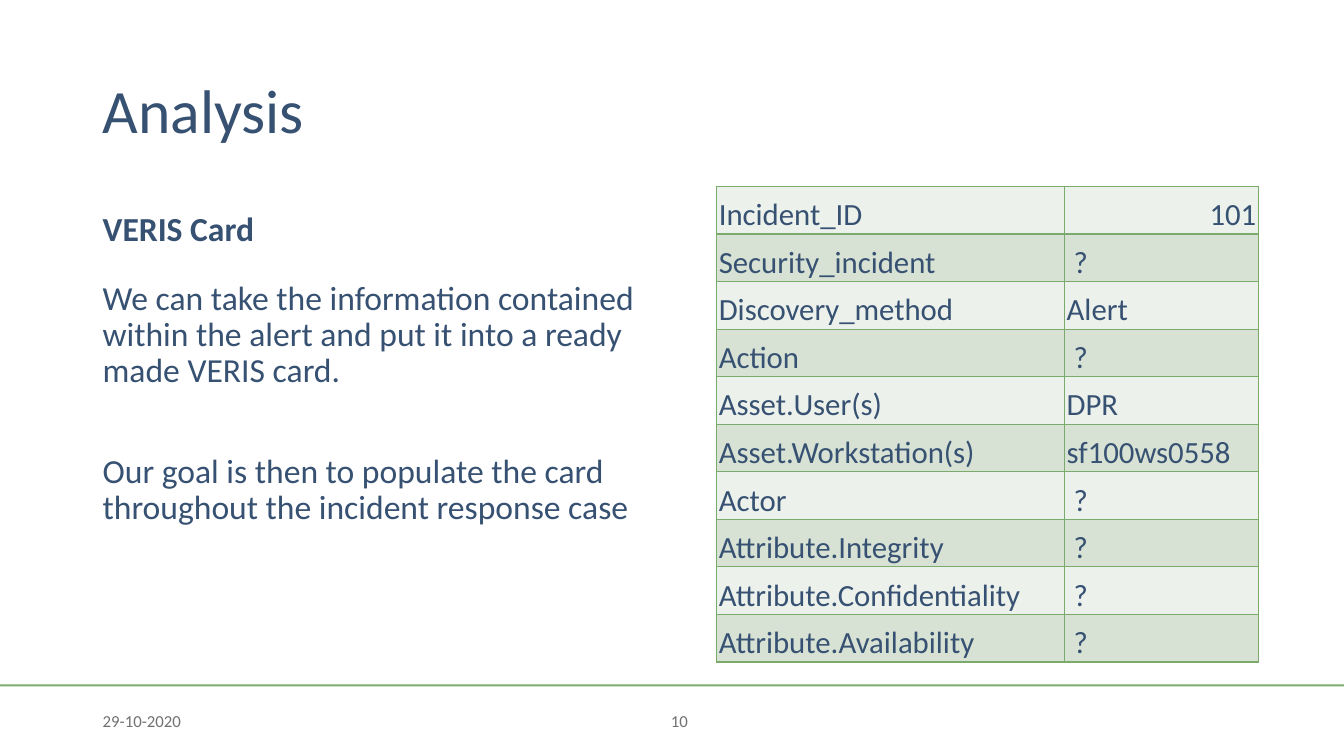
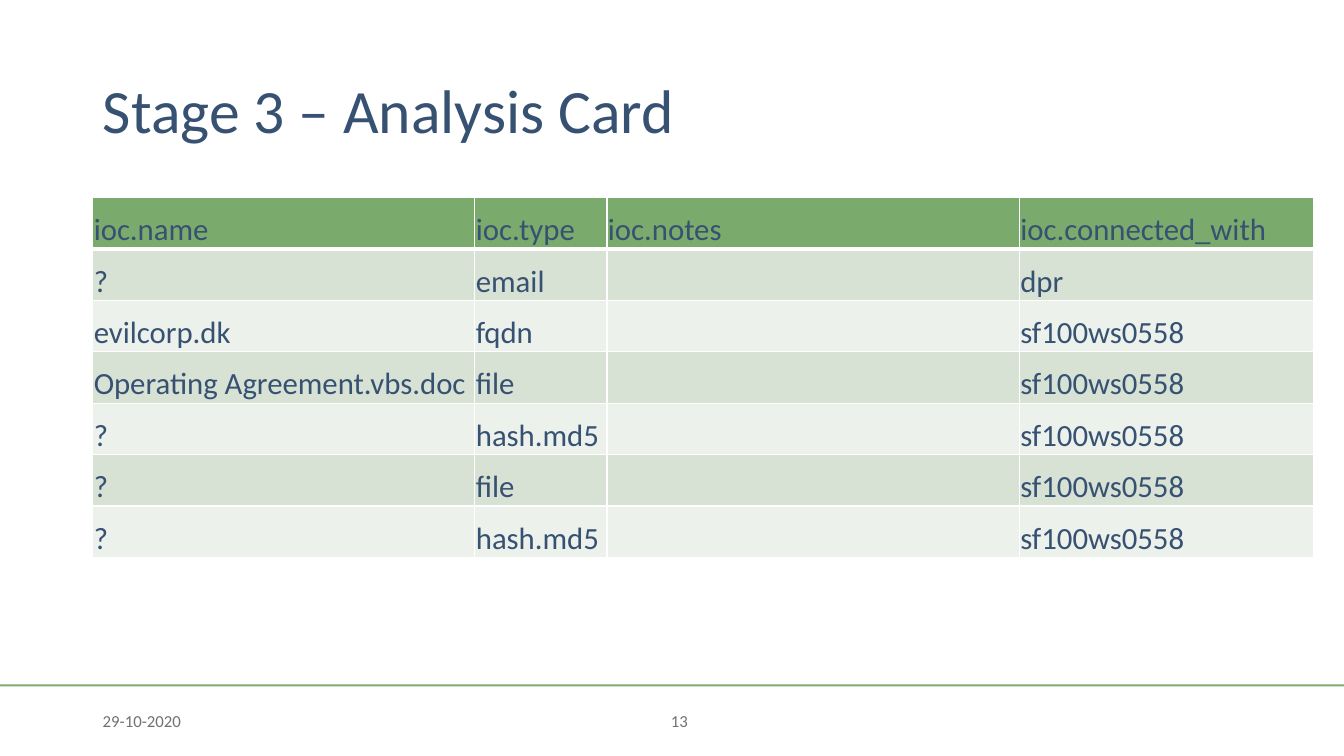
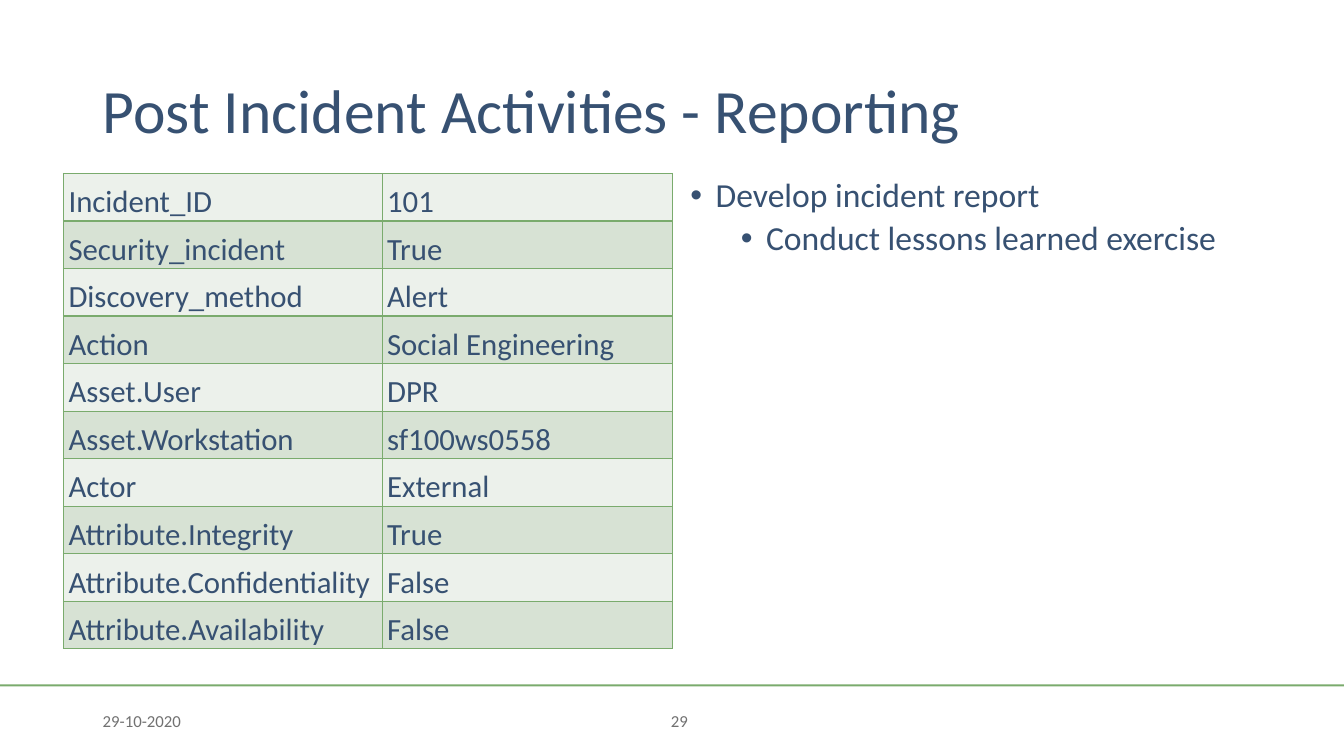
from lxml import etree
from pptx import Presentation
from pptx import util as u
from pptx.dml.color import RGBColor
from pptx.enum import shapes, text
from pptx.oxml import ns

PX = 9144  # 100 px to the inch
FONT = "Calibri"
COLORS = {
    "ink": "375172",
    "green": "7AAB6D",
    "dark_band": "D7E2D4",
    "light_band": "ECF1EB",
    "gray": "717171",
    "white": "FFFFFF",
}
LEFT = 92  # left edge shared by title, text and footer
DATE = "29-10-2020"
LEFT_ALIGN, RIGHT_ALIGN = text.PP_ALIGN.LEFT, text.PP_ALIGN.RIGHT
TOP, MIDDLE = text.MSO_ANCHOR.TOP, text.MSO_ANCHOR.MIDDLE

VERIS_ROWS = [
    ["Incident_ID", "101"],
    ["Security_incident", " ?"],
    ["Discovery_method", "Alert"],
    ["Action", " ?"],
    ["Asset.User(s)", "DPR"],
    ["Asset.Workstation(s)", "sf100ws0558"],
    ["Actor", " ?"],
    ["Attribute.Integrity", " ?"],
    ["Attribute.Confidentiality", " ?"],
    ["Attribute.Availability", " ?"],
]
IOC_ROWS = [
    ["ioc.name", "ioc.type", "ioc.notes", "ioc.connected_with"],
    ["?", "email", "", "dpr"],
    ["evilcorp.dk", "fqdn", "", "sf100ws0558"],
    ["Operating Agreement.vbs.doc", "file", "", "sf100ws0558"],
    ["?", "hash.md5", "", "sf100ws0558"],
    ["?", "file", "", "sf100ws0558"],
    ["?", "hash.md5", "", "sf100ws0558"],
]
REPORT_ROWS = [
    ["Incident_ID", "101"],
    ["Security_incident", "True"],
    ["Discovery_method", "Alert"],
    ["Action", "Social Engineering"],
    ["Asset.User", "DPR"],
    ["Asset.Workstation", "sf100ws0558"],
    ["Actor", "External"],
    ["Attribute.Integrity", "True"],
    ["Attribute.Confidentiality", "False"],
    ["Attribute.Availability", "False"],
]


def px(*lengths):
    return [u.Emu(length * PX) for length in lengths]


def rgb(name):
    return RGBColor.from_string(COLORS[name])


# Text
def style_para(para, size, color="ink", bold=False, align=LEFT_ALIGN):
    para.alignment = align
    para.font.size = u.Pt(size)
    for span in para.runs:
        span.font.name = FONT
        span.font.size = u.Pt(size)
        span.font.bold = bold
        span.font.color.rgb = rgb(color)


def add_text(page, area, lines, size=24, anchor=TOP, **style):
    box = page.shapes.add_textbox(*px(*area))
    frame = box.text_frame
    frame.word_wrap = True
    frame.vertical_anchor = anchor
    frame.text = "\n".join(lines)
    for para in frame.paragraphs:
        style_para(para, size, **style)
    return frame.paragraphs


def space_paras(paras, *gaps):
    for para, gap in zip(paras, gaps):
        para.line_spacing = 0.9
        para.space_before = u.Pt(gap)


def add_bullet(para, level, margin):
    para.level = level
    props = para._p.get_or_add_pPr()
    props.set("marL", str(margin * PX))
    props.set("indent", str(-25 * PX))
    font = etree.SubElement(props, ns.qn("a:buFont"))
    font.set("typeface", "Arial")
    etree.SubElement(props, ns.qn("a:buChar")).set("char", "•")


# Tables
def add_border(cell, side, color, width):
    line = etree.SubElement(cell._tc.get_or_add_tcPr(), ns.qn("a:ln" + side))
    line.set("w", str(u.Pt(width)))
    fill = etree.SubElement(line, ns.qn("a:solidFill"))
    etree.SubElement(fill, ns.qn("a:srgbClr")).set("val", COLORS[color])


def add_grid(page, left, top, height, widths, rows, inset, line, header=False):
    frame = page.shapes.add_table(
        len(rows), len(widths), *px(left, top, sum(widths), height))
    table = frame.table
    table.first_row = table.horz_banding = False
    for column, width in zip(table.columns, px(*widths)):
        column.width = width
    for r, row in enumerate(rows):
        band = "dark_band" if r % 2 else "light_band"
        if header and r == 0:
            band = "green"
        for c, words in enumerate(row):
            cell = table.cell(r, c)
            cell.text = words
            cell.vertical_anchor = text.MSO_ANCHOR.BOTTOM
            cell.margin_left, cell.margin_right = px(inset, inset)
            cell.margin_top, cell.margin_bottom = px(min(inset, 2), 0)
            style_para(cell.text_frame.paragraphs[0], 22)
            for side in "LRTB":
                under_header = header and (r, side) in ((0, "B"), (1, "T"))
                add_border(cell, side, line, 3 if under_header else 1)
            cell.fill.solid()
            cell.fill.fore_color.rgb = rgb(band)
    return table


# Page with title, rule and footer
def add_page(deck, title, number):
    page = deck.slides.add_slide(deck.slide_layouts[5])
    head = page.shapes.title
    head.left, head.top, head.width, head.height = px(LEFT, 40, 1150, 145)
    frame = head.text_frame
    frame.text = title
    frame.word_wrap = True
    frame.auto_size = text.MSO_AUTO_SIZE.NONE
    frame.vertical_anchor = MIDDLE
    style_para(frame.paragraphs[0], 44)
    space_paras(frame.paragraphs, 0)

    rule = page.shapes.add_shape(
        shapes.MSO_SHAPE.RECTANGLE, *px(-1, 679, 1335, 2))
    rule.shadow.inherit = False
    rule.fill.solid()
    rule.fill.fore_color.rgb = rgb("green")
    rule.line.fill.background()

    footer = ((LEFT, DATE, LEFT_ALIGN), (LEFT + 300, str(number), RIGHT_ALIGN))
    for left, words, align in footer:
        add_text(page, (left, 695, 300, 40), [words], 12, MIDDLE,
                 color="gray", align=align)
    return page


def build_analysis(deck):
    page = add_page(deck, "Analysis", 10)
    heading = add_text(page, (LEFT, 184, 564, 90), ["VERIS Card"],
                       anchor=MIDDLE, bold=True)
    space_paras(heading, 10)
    body = add_text(page, (LEFT, 274, 564, 394), [
        "We can take the information contained within the alert and put it "
        "into a ready made VERIS card.",
        "Our goal is then to populate the card throughout the incident "
        "response case",
    ])
    space_paras(body, 10, 46)
    card = add_grid(page, 711, 185, 472, (345, 192), VERIS_ROWS, 2, "green")
    card.cell(0, 1).text_frame.paragraphs[0].alignment = RIGHT_ALIGN


def build_card(deck):
    page = add_page(deck, "Stage 3 – Analysis Card", 13)
    add_grid(page, LEFT, 196, 357, (379, 131, 409, 292), IOC_ROWS, 1, "white",
             header=True)


def build_reporting(deck):
    page = add_page(deck, "Post Incident Activities - Reporting", 29)
    steps = add_text(page, (675, 172, 567, 394), [
        "Develop incident report", "Conduct lessons learned exercise"])
    space_paras(steps, 10, 5)
    for level, para in enumerate(steps):
        add_bullet(para, level, 25 + 50 * level)
    add_grid(page, 63, 172, 472, (316, 288), REPORT_ROWS, 5, "green")


def main():
    deck = Presentation()
    deck.slide_width, deck.slide_height = px(1333, 750)
    build_analysis(deck)
    build_card(deck)
    build_reporting(deck)
    deck.save("out.pptx")


if __name__ == "__main__":
    main()
